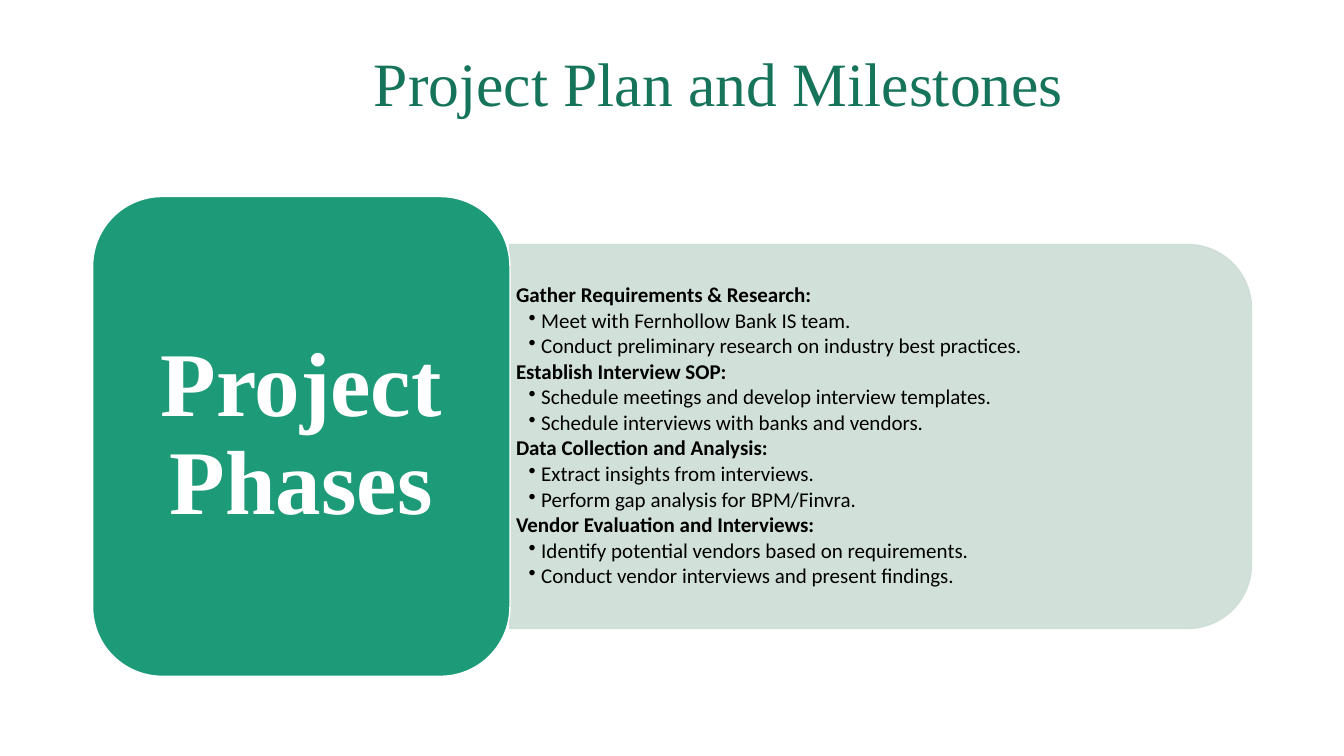
from pptx import Presentation
from pptx.dml.color import RGBColor
from pptx.enum.shapes import MSO_SHAPE
from pptx.enum.text import MSO_ANCHOR, PP_ALIGN
from pptx.oxml.ns import qn
from pptx.util import Pt
from lxml import etree

ROUND_RECT = MSO_SHAPE.ROUNDED_RECTANGLE
ROUND_TOP = MSO_SHAPE.ROUND_2_SAME_RECTANGLE
MIDDLE = MSO_ANCHOR.MIDDLE
LEFT, CENTER = PP_ALIGN.LEFT, PP_ALIGN.CENTER

THEME = {
    "title": "16745A", "card": "1D9A78", "panel": "CDDED6",
    "white": "FFFFFF", "black": "000000",
    "serif": "Times New Roman", "sans": "Calibri",
    "title_size": 44, "card_size": 65, "body_size": 15,
}

PHASES = [
    ("Gather Requirements & Research:", [
        "Meet with Fernhollow Bank IS team.",
        "Conduct preliminary research on industry best practices."]),
    ("Establish Interview SOP:", [
        "Schedule meetings and develop interview templates.",
        "Schedule interviews with banks and vendors."]),
    ("Data Collection and Analysis:", [
        "Extract insights from interviews.",
        "Perform gap analysis for BPM/Finvra."]),
    ("Vendor Evaluation and Interviews:", [
        "Identify potential vendors based on requirements.",
        "Conduct vendor interviews and present findings."]),
]

prs = Presentation()
prs.slide_width, prs.slide_height = Pt(960), Pt(540)
s = prs.slides.add_slide(prs.slide_layouts[6])


def add_frame(left, top, width, height, inset_x, inset_y):
    tf = s.shapes.add_textbox(Pt(left), Pt(top), Pt(width), Pt(height)).text_frame
    tf.word_wrap = True
    tf.vertical_anchor = MIDDLE
    tf.margin_left = tf.margin_right = Pt(inset_x)
    tf.margin_top = tf.margin_bottom = Pt(inset_y)
    return tf


def add_run(p, text, size, font, color, bold=False, align=LEFT):
    p.line_spacing = 0.9
    p.alignment = align
    r = p.add_run()
    r.text = text
    r.font.size = Pt(THEME[size])
    r.font.name = THEME[font]
    r.font.bold = bold
    r.font.color.rgb = RGBColor.from_string(THEME[color])


tf = add_frame(260, 30.2, 673, 63.4, 7.2, 3.6)
add_run(tf.paragraphs[0], "Project Plan and Milestones", "title_size", "serif", "title")

panel = s.shapes.add_shape(ROUND_TOP, Pt(491.8), Pt(46.8), Pt(274.3), Pt(529.9))
panel.rotation = 90
card = s.shapes.add_shape(ROUND_RECT, Pt(66.2), Pt(140.4), Pt(298.1), Pt(342.7))
for sp, fill, line in ((panel, "panel", "panel"), (card, "card", "white")):
    sp.shadow.inherit = False
    sp.fill.solid()
    sp.fill.fore_color.rgb = RGBColor.from_string(THEME[fill])
    sp.line.color.rgb = RGBColor.from_string(THEME[line])
    sp.line.width = Pt(1)
for color in panel.element.spPr.iter(qn("a:srgbClr")):
    etree.SubElement(color, qn("a:alpha")).set("val", "90000")

tf = add_frame(364.3, 187.9, 516.2, 247.7, 4.3, 2.2)
p = tf.paragraphs[0]
for phase, tasks in PHASES:
    for level, text in enumerate([phase] + tasks):
        if p.runs:
            p = tf.add_paragraph()
        is_task = level > 0
        add_run(p, text, "body_size", "sans", "black", bold=not is_task)
        p.space_after = Pt(2)
        pPr = p._p.get_or_add_pPr()
        pPr.set("marL", str(Pt(18 if is_task else 9)))
        pPr.set("indent", str(Pt(-9)))
        if is_task:
            etree.SubElement(pPr, qn("a:buChar")).set("char", "•")

tf = add_frame(80.6, 154.8, 269.3, 313.2, 19.4, 10)
add_run(tf.paragraphs[0], "Project Phases", "card_size", "serif", "white", True, CENTER)

prs.save("out.pptx")
